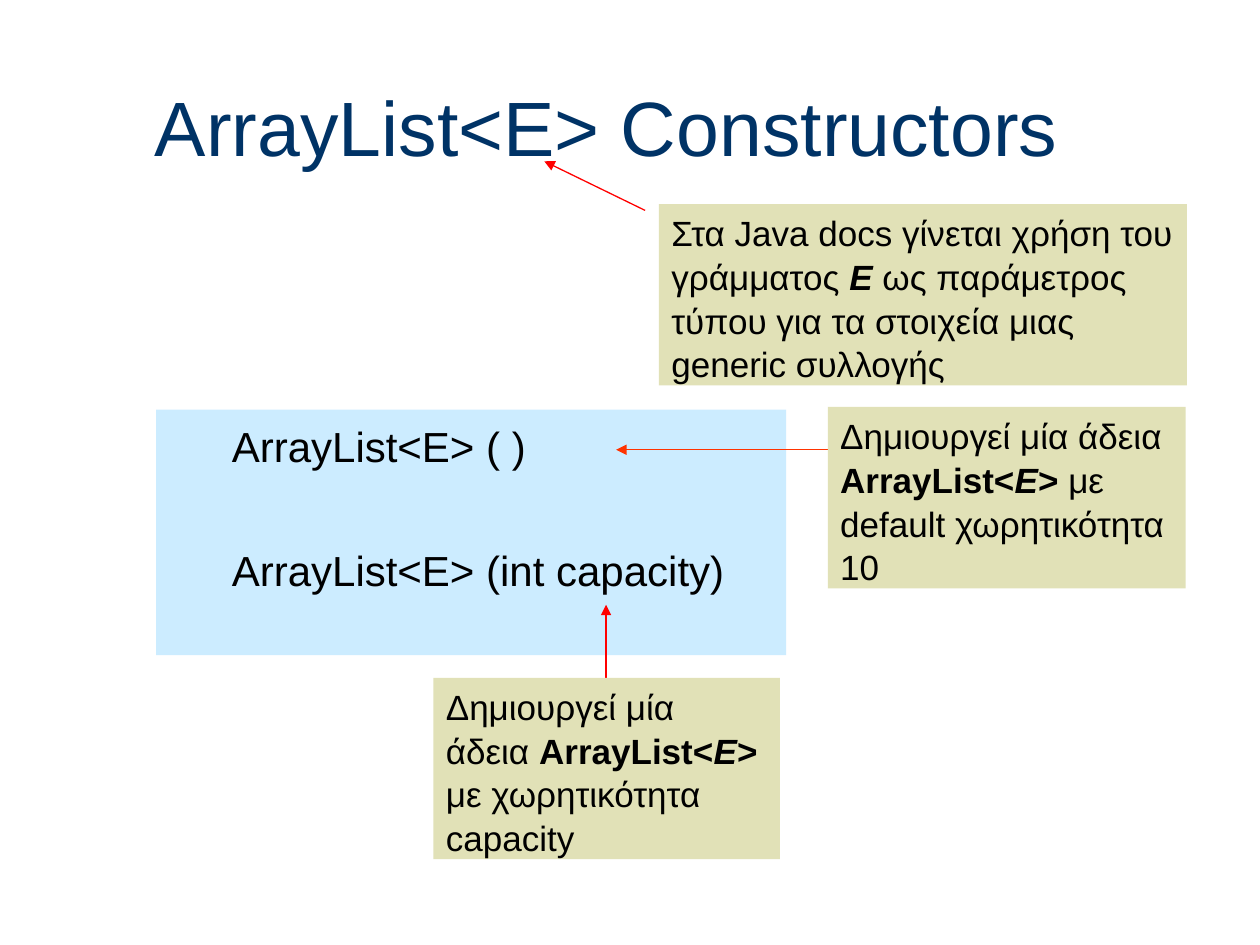
from lxml import etree
from pptx import Presentation
from pptx import util as u
from pptx.dml.color import RGBColor
from pptx.enum import shapes, text
from pptx.oxml.ns import qn

COLORS = {
    "title": "003366",
    "text": "000000",
    "code": "CCECFF",
    "note": "E1E1B7",
    "red": "FF0000",
    "orange": "FF3300",
}


class Deck:
    font = "Arial"
    line_spacing = 1.04

    def __init__(self):
        self.prs = Presentation()
        self.prs.slide_width = u.Inches(10)
        self.prs.slide_height = u.Inches(7.5)
        self.s = self.prs.slides.add_slide(self.prs.slide_layouts[5])

    def color(self, name):
        return RGBColor.from_string(COLORS[name])

    def format(self, p, size, color):
        p.alignment = text.PP_ALIGN.LEFT
        p.font.name = self.font
        p.font.size = u.Pt(size)
        p.font.color.rgb = self.color(color)

    def title(self, words, x, y, w, h):
        sp = self.s.shapes.title
        sp.left, sp.top, sp.width, sp.height = map(u.Inches, (x, y, w, h))
        tf = sp.text_frame
        tf.text = words
        tf.vertical_anchor = text.MSO_ANCHOR.MIDDLE
        self.format(tf.paragraphs[0], 44, "title")

    def box(self, x, y, w, h, fill, top=0.05):
        sp = self.s.shapes.add_shape(
            shapes.MSO_SHAPE.RECTANGLE, *map(u.Inches, (x, y, w, h)))
        sp.shadow.inherit = False
        sp.fill.solid()
        sp.fill.fore_color.rgb = self.color(fill)
        sp.line.fill.background()
        tf = sp.text_frame
        tf.word_wrap = True
        tf.vertical_anchor = text.MSO_ANCHOR.TOP
        tf.margin_top = u.Inches(top)
        return tf

    def code(self, lines, x, y, w, h):
        tf = self.box(x, y, w, h, "code", 0.07)
        tf.margin_left = u.Inches(0.6)
        for i, line in enumerate(lines):
            p = tf.add_paragraph() if i else tf.paragraphs[0]
            p.text = line
            p.line_spacing = self.line_spacing
            if i:
                p.space_before = u.Pt(41)
            self.format(p, 24, "text")

    def note(self, runs, x, y, w, h=1.44):
        p = self.box(x, y, w, h, "note").paragraphs[0]
        p.line_spacing = self.line_spacing
        self.format(p, 20, "text")
        for words, style in runs:
            r = p.add_run()
            r.text = words
            if "b" in style:
                r.font.bold = True
            if "i" in style:
                r.font.italic = True

    def arrow(self, x1, y1, x2, y2, color):
        c = self.s.shapes.add_connector(
            shapes.MSO_CONNECTOR.STRAIGHT, *map(u.Inches, (x1, y1, x2, y2)))
        c.line.color.rgb = self.color(color)
        c.line.width = u.Pt(0.75)
        ln = c.line._get_or_add_ln()
        etree.SubElement(ln, qn("a:tailEnd"), type="triangle")
        etree.SubElement(c._element.spPr, qn("a:effectLst"))


def main():
    d = Deck()
    list_type = [("ArrayList<", "b"), ("E", "bi"), (">", "b")]
    creates = [("Δημιουργεί μία άδεια ", "")] + list_type

    d.title("ArrayList<E> Constructors", 1.13, 0.53, 8.5, 0.94)
    d.code(["ArrayList<E> ( )", "ArrayList<E> (int capacity)"],
           1.24, 3.25, 5, 1.95)
    d.arrow(6.69, 3.57, 4.89, 3.57, "orange")
    d.note(creates + [(" με default χωρητικότητα 10", "")], 6.57, 3.23, 2.84)
    d.arrow(5.12, 1.67, 4.32, 1.28, "red")
    d.note([("Στα Java docs γίνεται χρήση του γράμματος ", ""),
            ("E", "bi"),
            (" ως παράμετρος τύπου για τα στοιχεία μιας generic συλλογής", "")],
           5.23, 1.62, 4.19)
    d.arrow(4.81, 5.98, 4.81, 4.8, "red")
    d.note(creates + [(" με χωρητικότητα capacity", "")], 3.44, 5.38, 2.75)
    d.prs.save("out.pptx")


if __name__ == "__main__":
    main()
